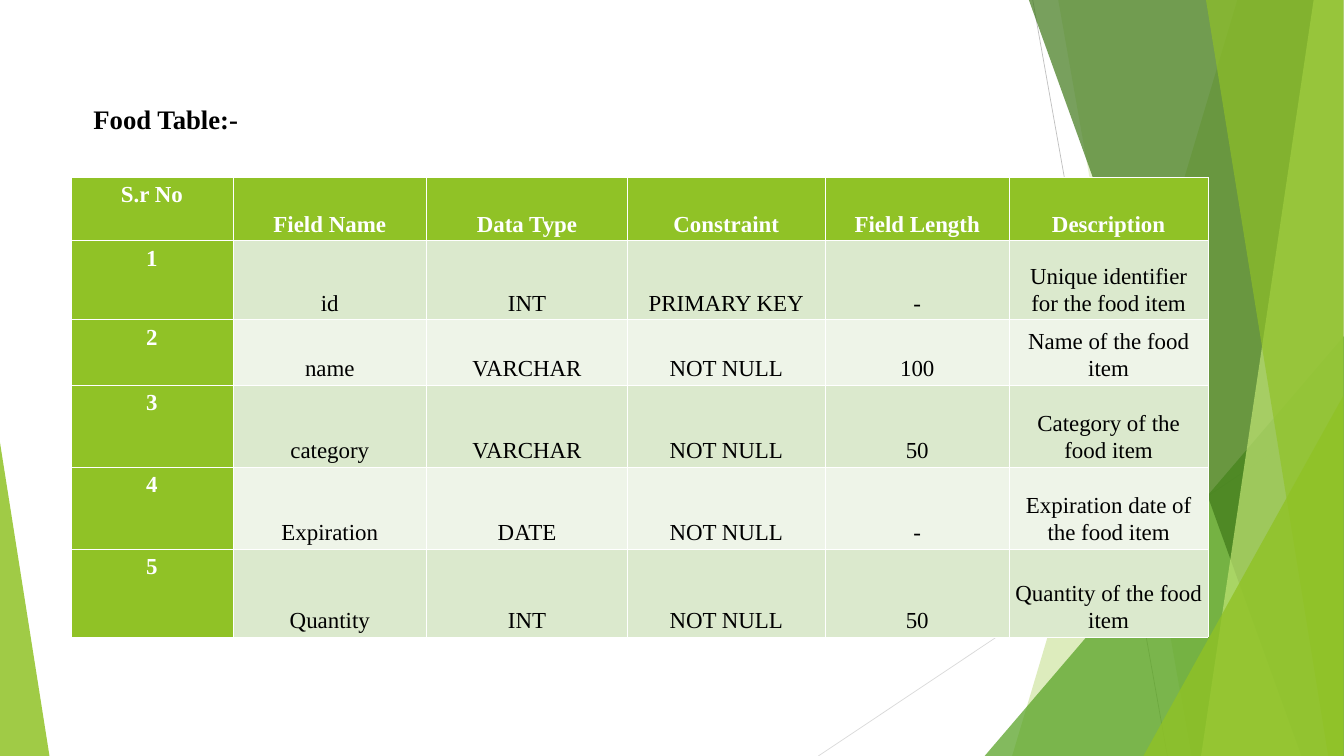
"""Build the food table slide with its green faceted backdrop."""
from lxml import etree
from pptx import Presentation
from pptx.dml.color import RGBColor
from pptx.enum import shapes, text
from pptx.oxml import ns
from pptx.util import Inches, Pt

GREEN = RGBColor(0x90, 0xC2, 0x26)
MID = RGBColor(0x54, 0xA0, 0x21)
DARK = RGBColor(0x3F, 0x78, 0x19)
LIME = RGBColor(0xC0, 0xE4, 0x74)
PALE = RGBColor(0xDB, 0xE9, 0xCD)
FAINT = RGBColor(0xEE, 0xF4, 0xE8)
GREY = RGBColor(0xBF, 0xBF, 0xBF)
SILVER = RGBColor(0xD9, 0xD9, 0xD9)
WHITE = RGBColor(0xFF, 0xFF, 0xFF)
BLACK = RGBColor(0, 0, 0)


def write(para, words, size, color, bold):
    run = para.add_run()
    run.text = words
    font = run.font
    font.name = "Times New Roman"
    font.size = Pt(size)
    font.bold = bold
    font.color.rgb = color


def edge(cell, side, width):
    line = etree.SubElement(cell._tc.get_or_add_tcPr(), ns.qn("a:ln" + side), w=str(Pt(width)))
    fill = etree.SubElement(line, ns.qn("a:solidFill"))
    etree.SubElement(fill, ns.qn("a:srgbClr"), val=str(WHITE))


deck = Presentation()
deck.slide_width = Inches(19.56)
deck.slide_height = Inches(11)
slide = deck.slides.add_slide(deck.slide_layouts[5])
tree = slide.shapes

rays = [
    (15.03, 0, 16.99, 11, GREY),
    (19.55, 5.9, 11.91, 11, SILVER),
]
for left, top, right, low, color in rays:
    ray = tree.add_connector(
        shapes.MSO_CONNECTOR.STRAIGHT, Inches(left), Inches(top), Inches(right), Inches(low))
    ray.line.color.rgb = color
    ray.line.width = Pt(0.75)
    etree.SubElement(ray._element.spPr, ns.qn("a:effectLst"))

# Bands: top left, top right, base right, base left. Peaks: left, top, width, tip.
facets = [
    ("band", (18.01, 19.55, 19.55, 14.73), GREEN, 30),
    ("band", (15.4, 19.56, 19.56, 17.34), GREEN, 20),
    ("peak", (14.33, 4.89, 5.23, 1), MID, 72),
    ("band", (14.97, 19.55, 19.55, 18.94), DARK, 70),
    ("band", (19.12, 19.55, 19.55, 17.48), LIME, 70),
    ("band", (17.55, 19.55, 19.55, 19.33), GREEN, 65),
    ("peak", (16.64, 5.76, 2.91, 1), GREEN, 80),
    ("peak", (0, 6.44, 0.72, 0), GREEN, 85),
]
for kind, spots, color, alpha in facets:
    if kind == "band":
        dots = [(Inches(x), Inches(y)) for x, y in zip(spots, (-0.01, -0.01, 11, 11))]
        pen = tree.build_freeform(*dots[0])
        pen.add_line_segments(dots[1:], close=True)
        facet = pen.convert_to_shape()
    else:
        left, top, width, tip = spots
        facet = tree.add_shape(
            shapes.MSO_SHAPE.ISOSCELES_TRIANGLE,
            Inches(left), Inches(top), Inches(width), Inches(11 - top))
        facet.adjustments[0] = tip
    facet.shadow.inherit = False
    facet.line.fill.background()
    facet.fill.solid()
    facet.fill.fore_color.rgb = color
    tint = facet._element.spPr.find(".//" + ns.qn("a:srgbClr"))
    etree.SubElement(tint, ns.qn("a:alpha"), val=str(alpha * 1000))

title = tree.title
title.left, title.top = Inches(1.36), Inches(1.5)
title.width, title.height = Inches(2.4), Inches(0.47)
frame = title.text_frame
frame.margin_left = frame.margin_right = frame.margin_top = frame.margin_bottom = 0
frame.word_wrap = True
frame.auto_size = text.MSO_AUTO_SIZE.SHAPE_TO_FIT_TEXT
frame.vertical_anchor = text.MSO_ANCHOR.TOP
para = frame.paragraphs[0]
para.alignment = text.PP_ALIGN.LEFT
write(para, "Food Table:-", 28, BLACK, True)

rows = [
    ("S.r No", "Field Name", "Data Type", "Constraint", "Field Length", "Description"),
    ("1", "id", "INT", "PRIMARY KEY", "-", "Unique identifier for the food item"),
    ("2", "name", "VARCHAR", "NOT NULL", "100", "Name of the food item"),
    ("3", "category", "VARCHAR", "NOT NULL", "50", "Category of the food item"),
    ("4", "Expiration", "DATE", "NOT NULL", "-", "Expiration date of the food item"),
    ("5", "Quantity", "INT", "NOT NULL", "50", "Quantity of the food item"),
]
wides = (2.36, 2.82, 2.92, 2.88, 2.68, 2.89)
highs = (0.92, 1.15, 0.86, 1.19, 1.19, 1.28)
grid = tree.add_table(
    len(rows), len(wides), Inches(1.03), Inches(2.58), Inches(16.55), Inches(6.58)).table
grid.horz_banding = False
for col, wide in zip(grid.columns, wides):
    col.width = Inches(wide)
for row, high in zip(grid.rows, highs):
    row.height = Inches(high)

for r, row in enumerate(rows):
    for c, words in enumerate(row):
        cell = grid.cell(r, c)
        head = r == 0 or c == 0
        cell.margin_left = cell.margin_right = Inches(0.08)
        cell.margin_top = cell.margin_bottom = Inches(0.05)
        cell.vertical_anchor = text.MSO_ANCHOR.BOTTOM if c else text.MSO_ANCHOR.TOP
        edge(cell, "L", 0.45)
        edge(cell, "R", 0.45)
        edge(cell, "T", 1.47 if r == 1 else 0.45)
        edge(cell, "B", 1.47 if r == 0 else 0.45)
        cell.fill.solid()
        cell.fill.fore_color.rgb = GREEN if head else PALE if r % 2 else FAINT
        para = cell.text_frame.paragraphs[0]
        para.alignment = text.PP_ALIGN.CENTER
        para.line_spacing = 1.07
        para.space_after = Pt(12)
        write(para, words, 24, WHITE if head else BLACK, head)

deck.save("out.pptx")
